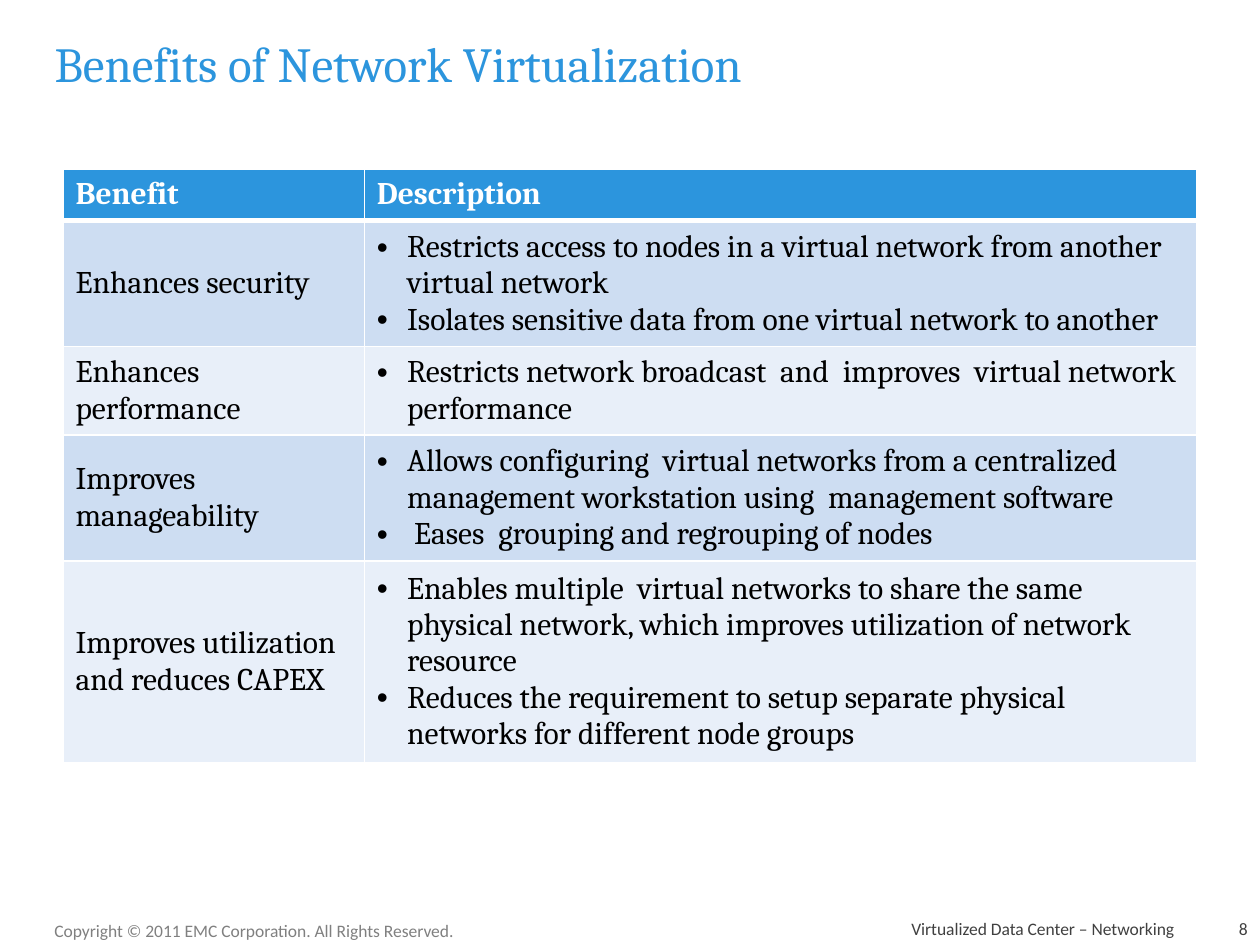
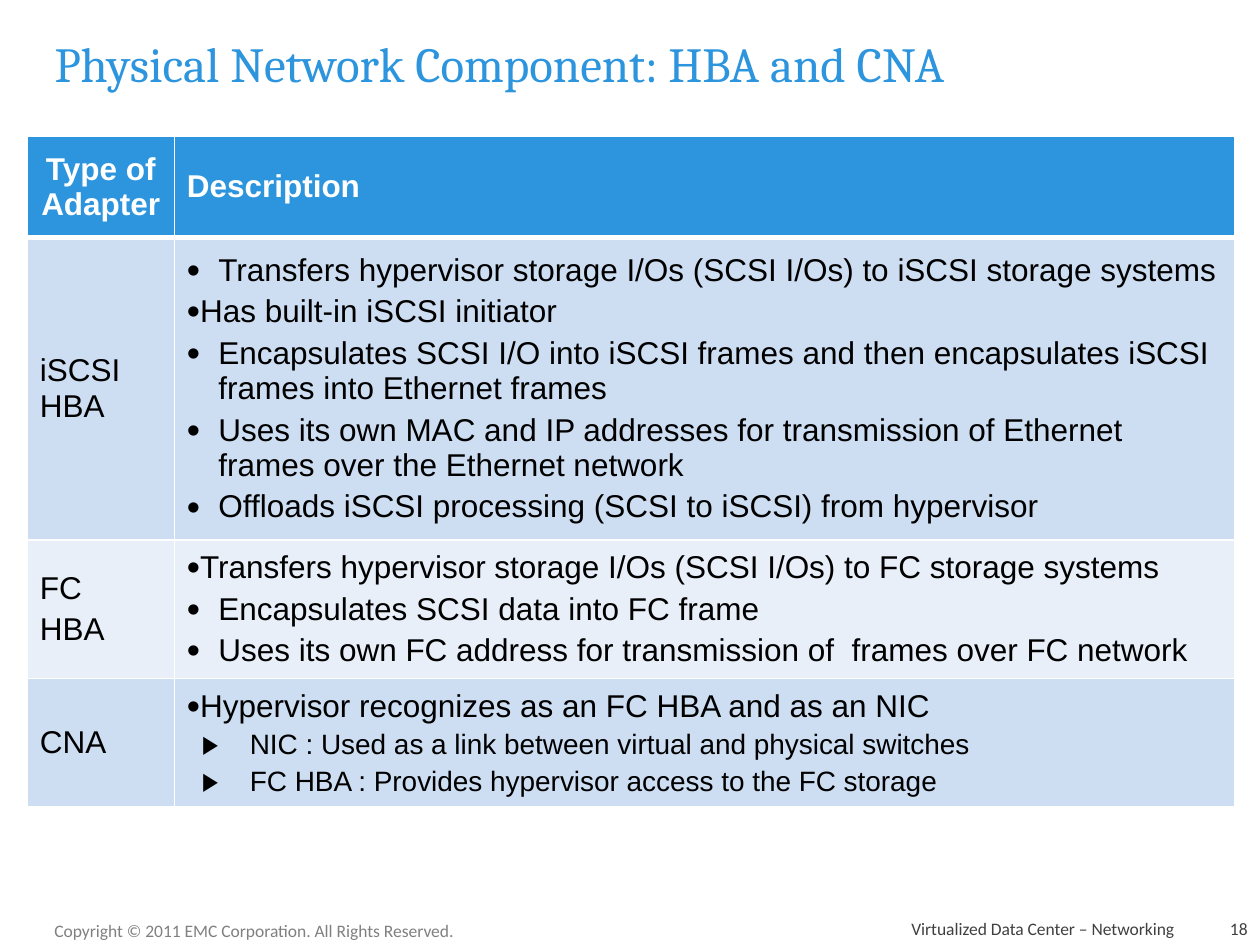
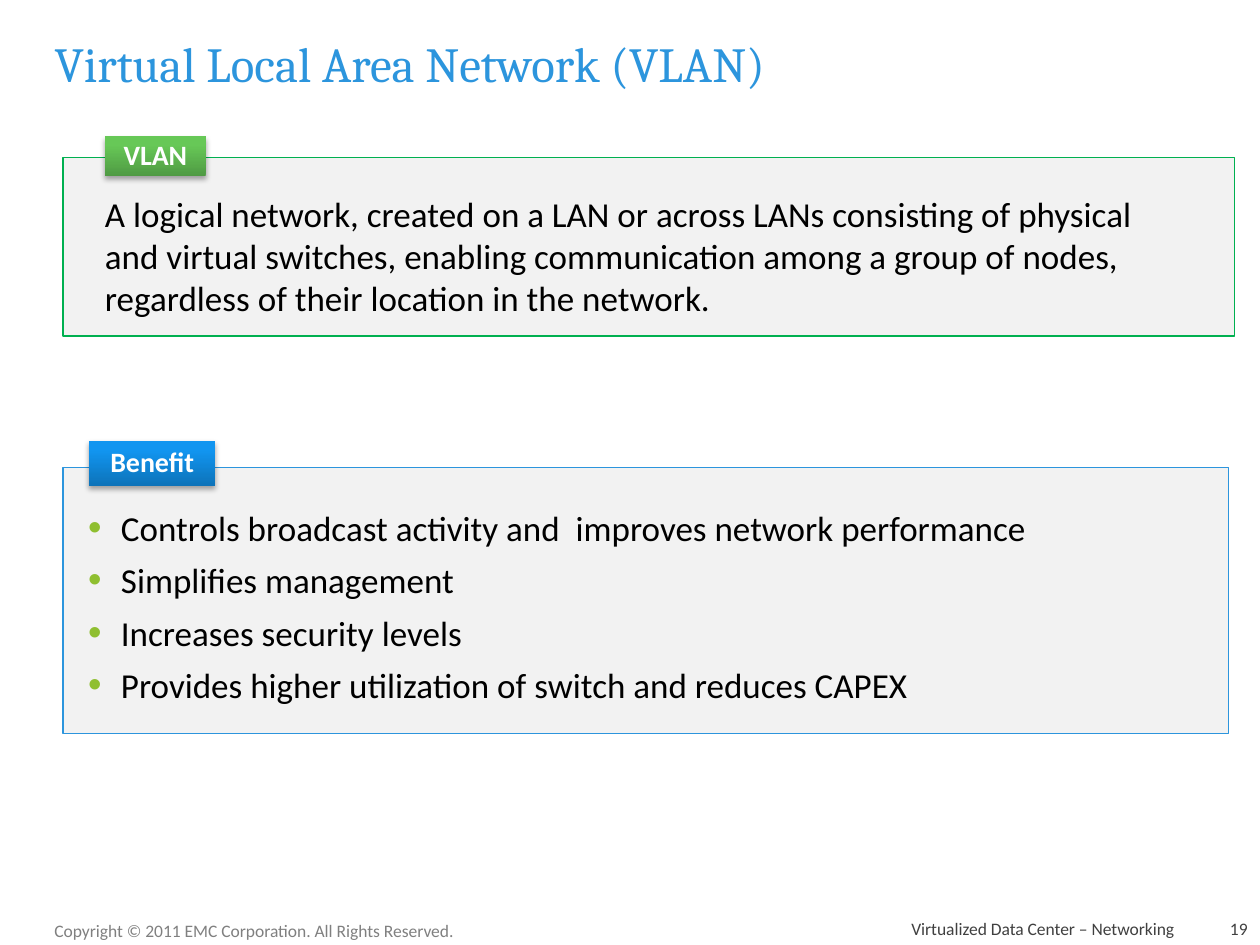
from lxml import etree
from pptx import Presentation
from pptx import util as u
from pptx.dml.color import RGBColor
from pptx.enum import shapes, text
from pptx.oxml import ns

WIDTH, HEIGHT = u.Inches(10), u.Inches(7.5)
UNIT = WIDTH / 120
COLORS = {
    "blue": "2C95DD", "white": "FFFFFF", "black": "000000",
    "band_dark": "CDDDF2", "band_light": "E8EFF9", "panel": "F2F2F2",
    "green": "00B050", "bullet": "8FBF30", "copyright": "808080", "footer": "404040",
    "green_low": "4F9A43", "green_high": "67C857",
    "blue_low": "0D73B9", "blue_high": "1195F0",
}
FORMATS = {
    "title": {"name": "Cambria", "size": 28, "color": "blue"},
    "copyright": {"name": "Calibri", "size": 10, "color": "copyright"},
    "footer": {"name": "Calibri", "size": 10, "color": "footer"},
    "panel": {"name": "Calibri", "size": 20, "color": "black"},
    "label": {"name": "Calibri", "size": 16, "color": "white", "bold": True},
}
BULLETS = {
    "benefit": {"char": "•", "left": 0.24, "hang": 0.24, "size": 100},
    "point": {"char": "•", "left": 0.25, "hang": 0.25, "size": 120},
    "flush": {"char": "•", "left": 0, "hang": 0.25, "size": 120},
    "sub": {"char": "▶", "left": 0.5, "hang": 0.38, "size": 90, "level": 1, "text_size": 16},
    "panel": {"char": "•", "left": 0.26, "hang": 0.26, "size": 110, "color": "bullet"},
}
LEFT, CENTER, RIGHT = text.PP_ALIGN.LEFT, text.PP_ALIGN.CENTER, text.PP_ALIGN.RIGHT
TOP, MIDDLE, BOTTOM = text.MSO_ANCHOR.TOP, text.MSO_ANCHOR.MIDDLE, text.MSO_ANCHOR.BOTTOM

BENEFITS = [
    ("Benefit", "Description"),
    ("Enhances security", [
        ("benefit", "Restricts access to nodes in a virtual network from another virtual network"),
        ("benefit", "Isolates sensitive data from one virtual network to another")]),
    ("Enhances performance", [
        ("benefit", "Restricts network broadcast  and  improves  virtual network performance")]),
    ("Improves manageability", [
        ("benefit", "Allows configuring  virtual networks from a centralized management "
                    "workstation using  management software"),
        ("benefit", " Eases  grouping and regrouping of nodes")]),
    ("Improves utilization and reduces CAPEX", [
        ("benefit", "Enables multiple  virtual networks to share the same physical network, "
                    "which improves utilization of network resource"),
        ("benefit", "Reduces the requirement to setup separate physical networks for "
                    "different node groups")]),
]
ADAPTERS = [
    ("Type of Adapter", "Description"),
    ("iSCSI HBA", [
        ("point", "Transfers hypervisor storage I/Os (SCSI I/Os) to iSCSI storage systems"),
        ("flush", "Has built-in iSCSI initiator"),
        ("point", "Encapsulates SCSI I/O into iSCSI frames and then encapsulates iSCSI "
                  "frames into Ethernet frames"),
        ("point", "Uses its own MAC and IP addresses for transmission of Ethernet frames "
                  "over the Ethernet network"),
        ("point", "Offloads iSCSI processing (SCSI to iSCSI) from hypervisor")]),
    ([(None, "FC"), (None, "HBA")], [
        ("flush", "Transfers hypervisor storage I/Os (SCSI I/Os) to FC storage systems"),
        ("point", "Encapsulates SCSI data into FC frame"),
        ("point", "Uses its own FC address for transmission of  frames over FC network")]),
    ("CNA", [
        ("flush", "Hypervisor recognizes as an FC HBA and as an NIC"),
        ("sub", "NIC : Used as a link between virtual and physical switches"),
        ("sub", "FC HBA : Provides hypervisor access to the FC storage")]),
]
VLAN_MEANING = ("A logical network, created on a LAN or across LANs consisting of physical and "
                "virtual switches, enabling communication among a group of nodes, regardless "
                "of their location in the network.")
VLAN_BENEFITS = [
    ("panel", "Controls broadcast activity and  improves network performance"),
    ("panel", "Simplifies management"),
    ("panel", "Increases security levels"),
    ("panel", "Provides higher utilization of switch and reduces CAPEX"),
]


def grid(*units):
    return [round(unit * UNIT) for unit in units]


def rgb(name):
    return RGBColor.from_string(COLORS[name])


def child(parent, tag, **attributes):
    values = {key: str(value) for key, value in attributes.items()}
    return etree.SubElement(parent, ns.qn(tag), values)


def set_values(target, values):
    for name, value in values.items():
        setattr(target, name, value)


def format_run(run, values):
    for name, value in values.items():
        if name == "color":
            run.font.color.rgb = rgb(value)
        else:
            setattr(run.font, name, u.Pt(value) if name == "size" else value)


def add_bullet(paragraph, bullet):
    paragraph.level = bullet.get("level", 0)
    properties = paragraph._p.get_or_add_pPr()
    properties.set("marL", str(u.Inches(bullet["left"])))
    properties.set("indent", str(-u.Inches(bullet["hang"])))
    if "color" in bullet:
        child(child(properties, "a:buClr"), "a:srgbClr", val=COLORS[bullet["color"]])
    child(properties, "a:buSzPct", val=bullet["size"] * 1000)
    child(properties, "a:buFont", typeface="Arial")
    child(properties, "a:buChar", char=bullet["char"])


def write(frame, content, values, align=LEFT, gap=0):
    items = [(None, content)] if isinstance(content, str) else content
    for index, (style, words) in enumerate(items):
        paragraph = frame.add_paragraph() if index else frame.paragraphs[0]
        run_values = dict(values)
        if style:
            bullet = BULLETS[style]
            add_bullet(paragraph, bullet)
            run_values["size"] = bullet.get("text_size", values["size"])
        paragraph.alignment = align
        if index and gap:
            paragraph.space_before = u.Pt(gap * run_values["size"])
        run = paragraph.add_run()
        run.text = words
        format_run(run, run_values)


def add_text(slide, box, words, style, align=LEFT, anchor=TOP):
    frame = slide.shapes.add_textbox(*grid(*box)).text_frame
    set_values(frame, {"word_wrap": True, "vertical_anchor": anchor})
    write(frame, words, FORMATS[style], align)


def add_slide(presentation, title, number):
    slide = presentation.slides.add_slide(presentation.slide_layouts[5])
    shape = slide.shapes.title
    set_values(shape, dict(zip(("left", "top", "width", "height"), grid(4, 1, 111, 10))))
    set_values(shape.text_frame, {"vertical_anchor": MIDDLE, "word_wrap": True,
                                  "auto_size": text.MSO_AUTO_SIZE.NONE})
    write(shape.text_frame, title, FORMATS["title"])
    add_text(slide, (4, 87, 41, 3.2),
             "Copyright © 2011 EMC Corporation. All Rights Reserved.", "copyright")
    add_text(slide, (58, 87, 55, 3), "Virtualized Data Center – Networking",
             "footer", RIGHT, BOTTOM)
    add_text(slide, (114, 87, 6, 3), str(number), "footer", RIGHT, BOTTOM)
    return slide


def add_borders(cell, is_header, is_below_header):
    properties = cell._tc.get_or_add_tcPr()
    widths = {"L": 1, "R": 1, "T": 3 if is_below_header else 1, "B": 3 if is_header else 1}
    for side, width in widths.items():
        line = child(properties, f"a:ln{side}", w=u.Pt(width))
        child(child(line, "a:solidFill"), "a:srgbClr", val=COLORS["white"])


def add_table(slide, corner, columns, rows, content, font, header_align=LEFT, gap=0):
    box = grid(*corner, sum(columns), sum(rows))
    table = slide.shapes.add_table(len(rows), len(columns), *box).table
    for column, width in zip(table.columns, grid(*columns)):
        column.width = width
    for row, height in zip(table.rows, grid(*rows)):
        row.height = height
    for row_index, entries in enumerate(content):
        is_header = row_index == 0
        fill = "blue" if is_header else ("band_light", "band_dark")[row_index % 2]
        values = {"name": font, "size": 18, "bold": is_header,
                  "color": "white" if is_header else "black"}
        for column_index, entry in enumerate(entries):
            cell = table.cell(row_index, column_index)
            cell.vertical_anchor = MIDDLE
            add_borders(cell, is_header, row_index == 1)
            cell.fill.solid()
            cell.fill.fore_color.rgb = rgb(fill)
            align = header_align if is_header and column_index == 0 else LEFT
            write(cell.text_frame, entry, values, align, gap)


def add_box(slide, box, margins):
    shape = slide.shapes.add_shape(shapes.MSO_SHAPE.RECTANGLE, *grid(*box))
    shape.shadow.inherit = False
    sides = ("margin_left", "margin_top", "margin_right", "margin_bottom")
    set_values(shape.text_frame, dict(zip(sides, grid(*margins))))
    set_values(shape.text_frame, {"word_wrap": True, "vertical_anchor": MIDDLE})
    return shape


def add_panel(slide, box, margins, line, content):
    shape = add_box(slide, box, margins)
    shape.fill.solid()
    shape.fill.fore_color.rgb = rgb("panel")
    shape.line.color.rgb = rgb(line)
    shape.line.width = u.Pt(0.75)
    write(shape.text_frame, content, FORMATS["panel"], gap=0.3)


def add_label(slide, box, words, tint):
    shape = add_box(slide, box, (1.3, 0, 1.3, 0))
    shape.line.fill.background()
    shape.fill.gradient()
    shape.fill.gradient_angle = 90
    stops = ((0, f"{tint}_low"), (0.8, f"{tint}_high"))
    for stop, (position, color) in zip(shape.fill.gradient_stops, stops):
        stop.position = position
        stop.color.rgb = rgb(color)
    effects = shape._element.spPr.find(ns.qn("a:effectLst"))
    shadow = child(effects, "a:outerShdw", blurRad=u.Pt(3.1), dist=u.Pt(1.8),
                   dir=5400000, rotWithShape=0)
    child(child(shadow, "a:srgbClr", val=COLORS["black"]), "a:alpha", val=35000)
    write(shape.text_frame, words, FORMATS["label"], CENTER)
    shape.text_frame.paragraphs[0].line_spacing = 0.9


def main():
    presentation = Presentation()
    set_values(presentation, {"slide_width": WIDTH, "slide_height": HEIGHT})

    slide = add_slide(presentation, "Benefits of Network Virtualization", 8)
    add_table(slide, (6, 16.1), (28.7, 79.3), (4.9, 11.5, 8.2, 11.5, 18.5),
              BENEFITS, "Cambria")

    slide = add_slide(presentation, "Physical Network Component: HBA and CNA", 18)
    add_table(slide, (2.6, 13), (14, 101), (9.6, 27.1, 12.5, 11.5),
              ADAPTERS, "Arial", CENTER, gap=0.2)

    slide = add_slide(presentation, "Virtual Local Area Network (VLAN)", 19)
    add_panel(slide, (6, 15, 111.6, 17), (4, 3, 4, 1.4), "green", VLAN_MEANING)
    add_label(slide, (10, 13, 9.6, 3.8), "VLAN", "green")
    add_panel(slide, (6, 44.5, 111, 25.4), (2.4, 2.4, 2.4, 1.4), "blue", VLAN_BENEFITS)
    add_label(slide, (8.5, 42, 12, 4.3), "Benefit", "blue")

    presentation.save("out.pptx")


if __name__ == "__main__":
    main()
